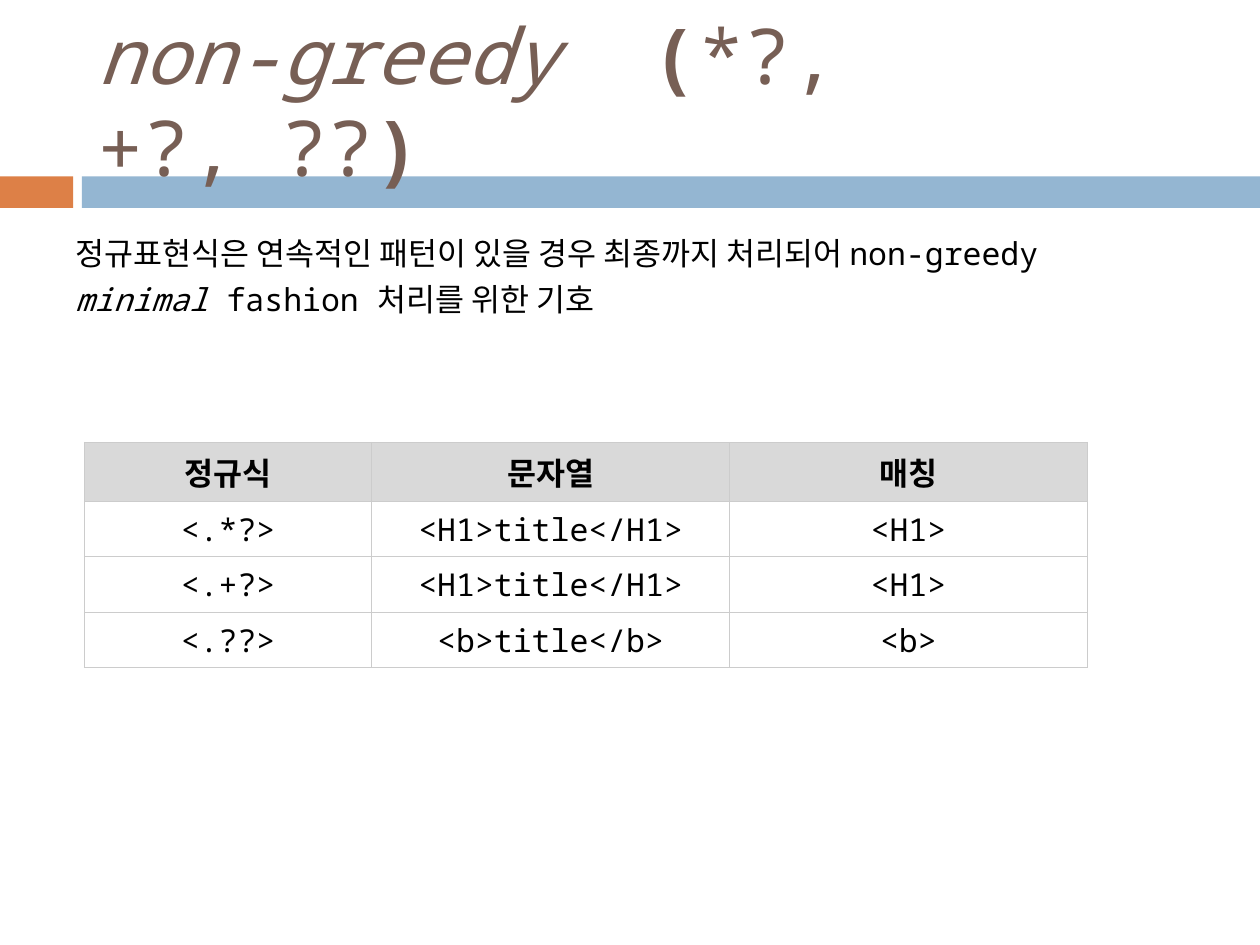
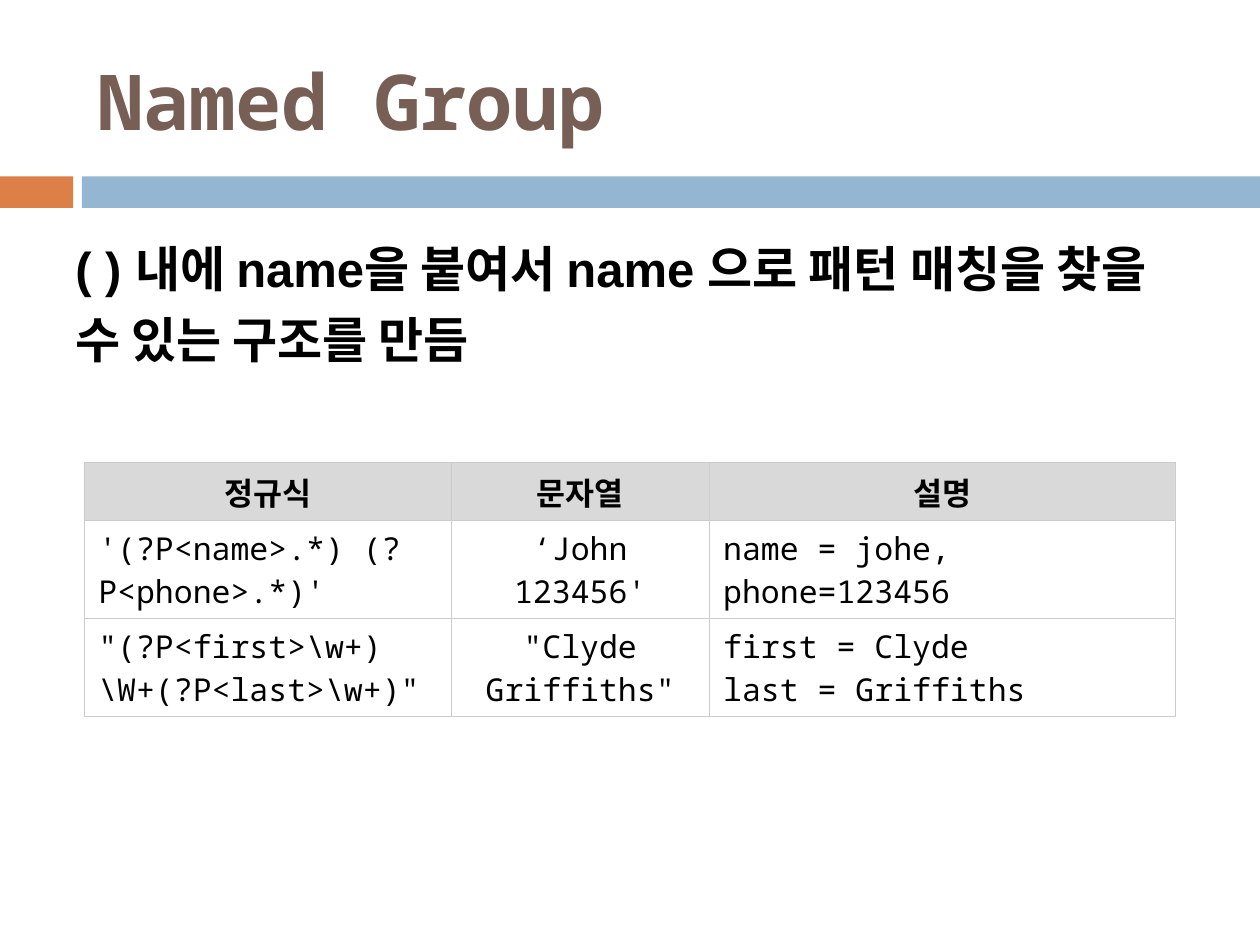
from lxml import etree
from pptx import Presentation
from pptx.dml.color import RGBColor
from pptx.enum.shapes import MSO_SHAPE
from pptx.enum.text import MSO_ANCHOR, MSO_AUTO_SIZE, PP_ALIGN
from pptx.oxml.ns import qn
from pptx.util import Inches, Pt

RECT = MSO_SHAPE.RECTANGLE
MIDDLE, TOP = MSO_ANCHOR.MIDDLE, MSO_ANCHOR.TOP
NO_FIT = MSO_AUTO_SIZE.NONE
LEFT, CENTER = PP_ALIGN.LEFT, PP_ALIGN.CENTER

ORANGE = RGBColor(0xDD, 0x80, 0x47)
BLUE = RGBColor(0x94, 0xB6, 0xD2)
BROWN = RGBColor(0x77, 0x5F, 0x55)
BLACK = RGBColor(0, 0, 0)
WHITE = RGBColor(0xFF, 0xFF, 0xFF)
GREY = RGBColor(0xD9, 0xD9, 0xD9)
RULE = RGBColor(0xCC, 0xCC, 0xCC)

MONO, SANS = "Noto Sans Mono", "Arial"
TITLE_BOX = (0.67, 0.25, 8.92, 1.08)
BAND_BOX = (0, 1.4, 10, 0.25)


def add_runs(para, runs, size, color, face=MONO):
    """Add (text, style) runs, where style holds b for bold and i for italic."""
    for text, style in runs:
        run = para.add_run()
        run.text = text
        font = run.font
        font.name, font.size = face, Pt(size)
        font.bold, font.italic = "b" in style, "i" in style
        font.color.rgb = color


def add_bands(slide, box):
    """Draw the orange tab and the blue bar behind the title."""
    left, top, width, height = box
    tab, start = 0.58, 0.65
    for x, wide, color in ((left, tab, ORANGE),
                           (left + start, width - start, BLUE)):
        band = slide.shapes.add_shape(
            RECT, Inches(x), Inches(top), Inches(wide), Inches(height))
        band.shadow.inherit = False
        band.fill.solid()
        band.fill.fore_color.rgb = color
        band.line.fill.background()
        slide.shapes.title.element.addprevious(band.element)


def set_title(slide, box, runs):
    """Place the title and fill it."""
    title = slide.shapes.title
    title.left, title.top, title.width, title.height = map(Inches, box)
    frame = title.text_frame
    frame.word_wrap = True
    frame.auto_size = NO_FIT
    frame.vertical_anchor = MIDDLE
    para = frame.paragraphs[0]
    para.alignment = LEFT
    add_runs(para, runs, 44, BROWN)


def add_body(slide, box, runs, size, face):
    """Add the paragraph that explains the topic."""
    frame = slide.shapes.add_textbox(*map(Inches, box)).text_frame
    frame.word_wrap = True
    frame.vertical_anchor = TOP
    para = frame.paragraphs[0]
    para.line_spacing = 1.2
    add_runs(para, runs, size, BLACK, face)


def add_borders(cell):
    """Rule the four sides of a cell."""
    props = cell._tc.get_or_add_tcPr()
    for spot, side in enumerate("LRTB"):
        line = etree.Element(qn(f"a:ln{side}"), w=str(Pt(0.6)))
        fill = etree.SubElement(line, qn("a:solidFill"))
        etree.SubElement(fill, qn("a:srgbClr"), val=str(RULE))
        props.insert(spot, line)


def fill_cell(cell, text, head, align):
    """Format one cell and write its lines."""
    cell.fill.solid()
    cell.fill.fore_color.rgb = GREY if head else WHITE
    add_borders(cell)
    cell.vertical_anchor = MIDDLE
    cell.margin_left = cell.margin_right = Inches(0.11)
    cell.margin_top = cell.margin_bottom = Inches(0.05)
    frame = cell.text_frame
    for spot, line in enumerate(text.split("\n")):
        para = frame.add_paragraph() if spot else frame.paragraphs[0]
        para.alignment = align
        add_runs(para, [(line, "b" if head else "")], 18, BLACK)


def add_grid(slide, spot, widths, heights, rows, aligns):
    """Add a ruled table with a grey head row."""
    box = (*spot, sum(widths), sum(heights))
    table = slide.shapes.add_table(
        len(rows), len(widths), *map(Inches, box)).table
    table.first_row = table.horz_banding = False
    for col, width in zip(table.columns, widths):
        col.width = Inches(width)
    for r, (row, height) in enumerate(zip(rows, heights)):
        table.rows[r].height = Inches(height)
        for c, text in enumerate(row):
            head = r == 0
            fill_cell(table.cell(r, c), text, head,
                      CENTER if head else aligns[c])


def add_page(deck, title, body, grid):
    """Add a slide with title, bands, text and table."""
    slide = deck.slides.add_slide(deck.slide_layouts[5])
    add_bands(slide, BAND_BOX)
    set_title(slide, TITLE_BOX, title)
    add_body(slide, *body)
    add_grid(slide, *grid)


def add_lazy(deck):
    """Add the slide on non-greedy marks."""
    title = [("non-greedy  ", "i"), ("(", "b"), ("*?, +?, ??", ""), (")", "b")]
    text = [("정규표현식은 연속적인 패턴이 있을 경우 최종까지 처리되어 non-greedy ", ""),
            ("minimal ", "i"), ("fashion 처리를 위한 기호", "")]
    rows = [("정규식", "문자열", "매칭"),
            ("<.*?>", "<H1>title</H1>", "<H1>"),
            ("<.+?>", "<H1>title</H1>", "<H1>"),
            ("<.??>", "<b>title</b>", "<b>")]
    add_page(deck, title, ((0.5, 1.75, 9, 1.45), text, 18, MONO),
             ((0.67, 3.51), (2.28, 2.84, 2.84), (0.47, 0.44, 0.44, 0.44),
              rows, (CENTER, CENTER, CENTER)))


def add_named(deck):
    """Add the slide on named groups."""
    text = [("( ) 내에 name을 붙여서 name 으로 패턴 매칭을 찾을 수 있는 구조를 만듬", "b")]
    rows = [("정규식", "문자열", "설명"),
            ("'(?P<name>.*) (?P<phone>.*)'", "‘John 123456'",
             "name = johe, phone=123456"),
            (r'"(?P<first>\w+)\W+(?P<last>\w+)"', '"Clyde Griffiths"',
             "first = Clyde\nlast = Griffiths")]
    add_page(deck, [("Named Group", "b")],
             ((0.5, 1.75, 9, 1.69), text, 28, SANS),
             ((0.67, 3.67), (2.91, 2.05, 3.7), (0.46, 0.78, 0.78),
              rows, (LEFT, CENTER, LEFT)))


def main():
    """Build and save the deck."""
    deck = Presentation()
    deck.slide_width, deck.slide_height = Inches(10), Inches(7.5)
    add_lazy(deck)
    add_named(deck)
    deck.save("out.pptx")


if __name__ == "__main__":
    main()
